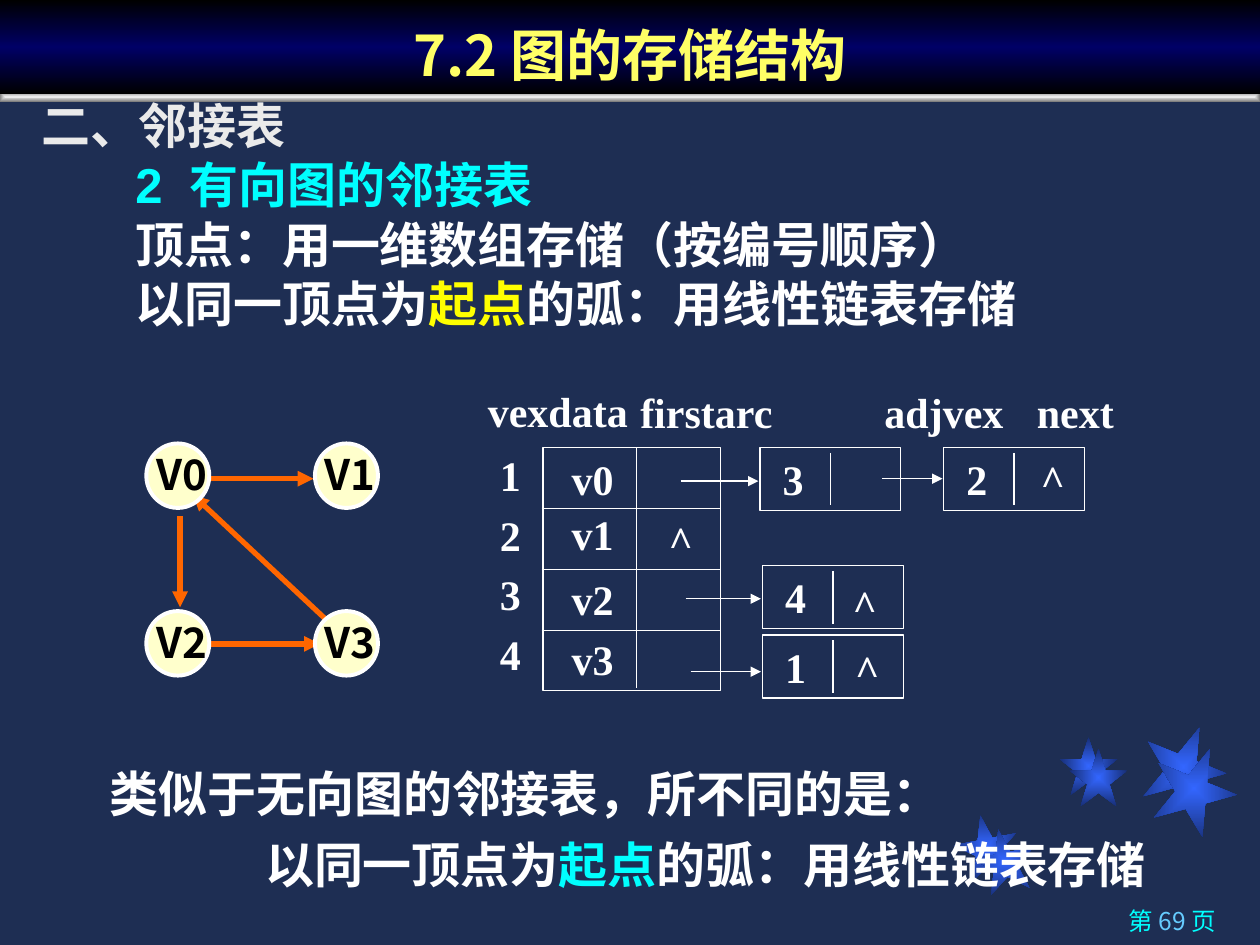
from lxml import etree
from pptx import Presentation
from pptx.dml.color import RGBColor
from pptx.enum.shapes import MSO_CONNECTOR as Link, MSO_SHAPE as Kind
from pptx.enum.text import MSO_ANCHOR as Anchor, PP_ALIGN as Align
from pptx.oxml import parse_xml
from pptx.oxml.ns import nsdecls, qn
from pptx.util import Cm, Pt

NAVY = RGBColor(0x1E, 0x2E, 0x53)
WHITE = RGBColor(0xFF, 0xFF, 0xFF)
BLACK = RGBColor(0, 0, 0)
PALE = RGBColor(0xEA, 0xEA, 0xEA)
CREAM = RGBColor(0xFF, 0xFF, 0xCC)
LEMON = RGBColor(0xFF, 0xFF, 0x66)
YELLOW = RGBColor(0xFF, 0xFF, 0)
CYAN = RGBColor(0, 0xFF, 0xFF)
SKY = RGBColor(0x66, 0xCC, 0xFF)
ORANGE = RGBColor(0xFF, 0x66, 0)
BLUE = RGBColor(0x33, 0x66, 0xFF)
DUSK = RGBColor(0x18, 0x2F, 0x76)
DEEP = RGBColor(0, 0, 0x66)
SILVER = RGBColor(0xED, 0xED, 0xED)
GREY = RGBColor(0x80, 0x80, 0x80)
SANS, SERIF = "Noto Sans CJK SC", "Times New Roman"

deck = Presentation()
deck.slide_width, deck.slide_height = Cm(25.4), Cm(19.05)
slide = deck.slides.add_slide(deck.slide_layouts[6])
slide.background.fill.solid()
slide.background.fill.fore_color.rgb = NAVY
shapes = slide.shapes


def write(para, runs, size, face, bold=True):
    """Add (words, colour) runs, with the sans face for Chinese letters."""
    for words, color in runs:
        run = para.add_run()
        run.text = words
        font = run.font
        font.size, font.name, font.bold = Pt(size), face, bold
        font.color.rgb = color
        east = etree.SubElement(run._r.get_or_add_rPr(), qn("a:ea"))
        east.set("typeface", SANS)


def draw(x1, y1, x2, y2, color=WHITE, width=0.75, arrow=False):
    line = shapes.add_connector(Link.STRAIGHT, Cm(x1), Cm(y1), Cm(x2), Cm(y2))
    line.line.color.rgb = color
    line.line.width = Pt(width)
    if arrow:
        etree.SubElement(line.line._get_or_add_ln(), qn("a:tailEnd")).set("type", "triangle")
    etree.SubElement(line._element.spPr, qn("a:effectLst"))


# Stars, bar and title band: all filled with gradients
CENTER = '<a:path path="rect"><a:fillToRect l="50000" t="50000" r="50000" b="50000"/></a:path>'
DOWN = '<a:lin ang="5400000" scaled="0"/>'
glow = (BLUE, DUSK)
blends = [
    (Kind.STAR_5_POINT, 19.25, 16.43, 1.27, 1.27, 349, glow, CENTER),
    (Kind.STAR_5_POINT, 21.36, 14.86, 1.17, 1.17, 0, glow, CENTER),
    (Kind.STAR_5_POINT, 23.01, 14.61, 1.7, 1.7, 22, glow, CENTER),
    (Kind.STAR_5_POINT, 19.61, 16.71, 1.27, 1.27, 349, glow, CENTER),
    (Kind.STAR_5_POINT, 21.56, 15.09, 1.17, 1.17, 0, glow, CENTER),
    (Kind.STAR_5_POINT, 23.22, 15.04, 1.7, 1.7, 22, glow, CENTER),
    (Kind.RECTANGLE, 0, 1.85, 25.4, 0.2, 0, (SILVER, GREY), CENTER),
    (Kind.RECTANGLE, 0, 0, 25.4, 1.9, 0, (BLACK, DEEP, BLACK), DOWN),
]
for kind, x, y, w, h, turn, colors, way in blends:
    band = shapes.add_shape(kind, Cm(x), Cm(y), Cm(w), Cm(h))
    band.rotation = turn
    band.shadow.inherit = False
    band.line.fill.background()
    stops = "".join(
        f'<a:gs pos="{i * 100000 // (len(colors) - 1)}"><a:srgbClr val="{color}"/></a:gs>'
        for i, color in enumerate(colors))
    band._element.spPr.insert(2, parse_xml(
        f'<a:gradFill {nsdecls("a")}><a:gsLst>{stops}</a:gsLst>{way}</a:gradFill>'))

# The last band holds the title
band.text_frame.vertical_anchor = Anchor.BOTTOM
title = band.text_frame.paragraphs[0]
title.alignment = Align.CENTER
write(title, [("7.2 图的存储结构", LEMON)], 32, SANS)

# Page number
page = shapes.add_textbox(Cm(18.08), Cm(18.14), Cm(6.68), Cm(0.91)).text_frame
page.word_wrap = True
page.paragraphs[0].alignment = Align.RIGHT
write(page.paragraphs[0], [("第 ", CYAN), ("69 ", SKY), ("页", CYAN)], 14, SANS, False)

# Main text
body = shapes.add_textbox(Cm(0.58), Cm(2.03), Cm(24.13), Cm(5)).text_frame
body.word_wrap = True
points = [
    [("二、邻接表", PALE)],
    [("2  有向图的邻接表", CYAN)],
    [("顶点：用一维数组存储（按编号顺序）", WHITE)],
    [("以同一顶点为", WHITE), ("起点", YELLOW), ("的弧：用线性链表存储", WHITE)],
]
for i, runs in enumerate(points):
    para = body.add_paragraph() if i else body.paragraphs[0]
    para.line_spacing = 0.8
    if i:
        para.space_before = Pt(7)
        para._p.get_or_add_pPr().set("marL", str(Cm(1.9)))
    write(para, runs, 28, "Arial")

# Directed graph
for ends in [(3.63, 10.41, 3.63, 12.24), (4.24, 12.98, 6.45, 12.98),
             (4.24, 9.65, 6.32, 9.65), (6.83, 12.73, 3.89, 9.98)]:
    draw(*ends, ORANGE, 3, True)
for i in range(4):
    x, y = 2.95 + 3.4 * (i % 2), 8.94 + 3.38 * (i // 2)
    disc = shapes.add_shape(Kind.OVAL, Cm(x), Cm(y), Cm(1.27), Cm(1.3))
    disc.shadow.inherit = False
    disc.fill.solid()
    disc.fill.fore_color.rgb = CREAM
    disc.line.color.rgb = WHITE
    disc.line.width = Pt(2.25)
    name = shapes.add_textbox(Cm(x - 0.13), Cm(y - 0.02), Cm(1.8), Cm(1.27)).text_frame
    name.word_wrap = True
    name.margin_left = Cm(0.33)
    write(name.paragraphs[0], [(f"V{i}", BLACK)], 24, SANS)

# Vertex array and arc nodes: outlined boxes with their dividers
cells = [
    ("", 10.95, 9.02, 3.58, 4.9),
    ("3", 15.32, 9.02, 2.84, 1.27),
    ("2", 19.02, 9.02, 2.84, 1.27),
    ("4", 15.37, 11.4, 2.84, 1.27),
    ("1", 15.37, 12.8, 2.84, 1.27),
]
for word, x, y, w, h in cells:
    cell = shapes.add_shape(Kind.RECTANGLE, Cm(x), Cm(y), Cm(w), Cm(h))
    cell.shadow.inherit = False
    cell.fill.background()
    cell.line.color.rgb = WHITE
    cell.line.width = Pt(0.75)
    if word:
        cell.text_frame.margin_left = Cm(0.46)
        cell.text_frame.vertical_anchor = Anchor.MIDDLE
        para = cell.text_frame.paragraphs[0]
        para.alignment = Align.LEFT
        write(para, [(word, WHITE)], 24, SERIF)
        draw(x + w / 2, y + 0.11, x + w / 2, y + 1.17)
for i in range(1, 4):
    draw(10.92, 9.02 + 1.23 * i, 14.53, 9.02 + 1.23 * i)
draw(12.83, 9.02, 12.83, 13.87)
for x1, x2, y in [(13.72, 15.29, 9.7), (17.78, 19, 9.65),
                  (13.82, 15.34, 12.07), (13.92, 15.34, 13.54)]:
    draw(x1, y, x2, y, arrow=True)

# Labels
labels = [
    ("vexdata", 9.58, 7.65, 3.33), ("firstarc", 12.65, 7.67, 3.18),
    ("adjvex", 17.58, 7.67, 2.9), ("next", 20.65, 7.67, 2.06),
]
labels += [(str(i + 1), 9.83, 8.94 + 1.2 * i, 0.91) for i in range(4)]
labels += [(f"v{i}", 11.27, y, 1.35) for i, y in enumerate([9.02, 10.13, 11.43, 12.65])]
labels += [("^", x, y, 0.99) for x, y in
           [(20.73, 9.02), (16.94, 11.53), (13.23, 10.24), (16.99, 12.85)]]
for word, x, y, w in labels:
    label = shapes.add_textbox(Cm(x), Cm(y), Cm(w), Cm(1.27)).text_frame
    label.word_wrap = False
    label.vertical_anchor = Anchor.MIDDLE
    label.paragraphs[0].alignment = Align.CENTER
    write(label.paragraphs[0], [(word, WHITE)], 24, SERIF)

# Closing remark
note = shapes.add_textbox(Cm(1.96), Cm(15.27), Cm(21.39), Cm(2.87)).text_frame
note.word_wrap = True
write(note.paragraphs[0], [("类似于无向图的邻接表，所不同的是：", WHITE)], 28, SERIF)
last = note.add_paragraph()
last.alignment = Align.RIGHT
last.space_before = Pt(7)
write(last, [("以同一顶点为", WHITE), ("起点", CYAN), ("的弧：用线性链表存储", WHITE)], 28, SERIF)

deck.save("out.pptx")
